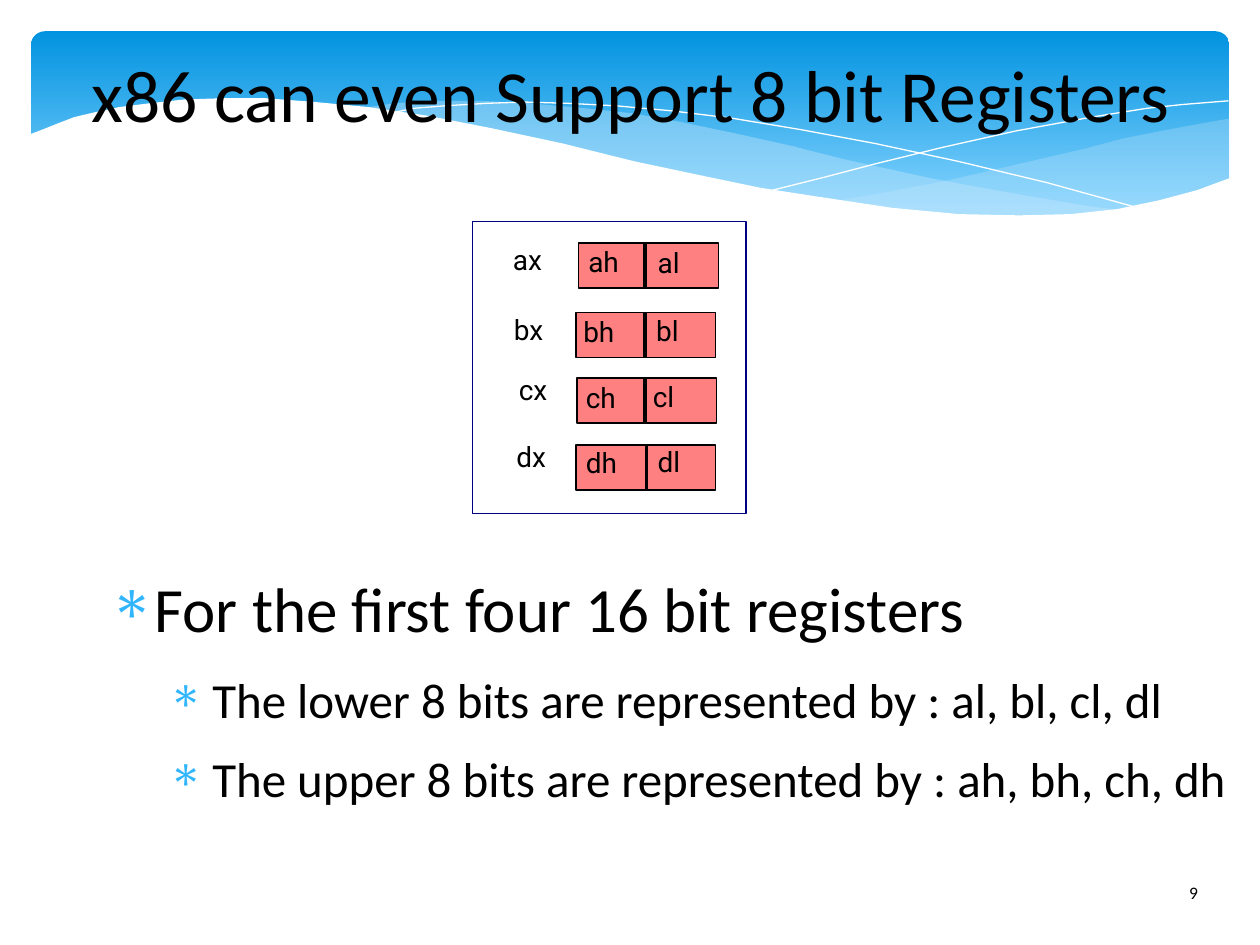
"""Build the slide on the 8 bit registers of x86."""
from lxml import etree
from pptx import Presentation
from pptx.dml.color import RGBColor
from pptx.enum.shapes import MSO_CONNECTOR, MSO_SHAPE
from pptx.enum.text import MSO_ANCHOR, PP_ALIGN
from pptx.oxml.ns import qn
from pptx.util import Cm, Pt

RECTANGLE, ROUNDED = MSO_SHAPE.RECTANGLE, MSO_SHAPE.ROUNDED_RECTANGLE
STRAIGHT = MSO_CONNECTOR.STRAIGHT
MIDDLE, TOP = MSO_ANCHOR.MIDDLE, MSO_ANCHOR.TOP
CENTER = PP_ALIGN.CENTER
BLACK = RGBColor(0x00, 0x00, 0x00)
WHITE = RGBColor(0xFF, 0xFF, 0xFF)
NAVY = RGBColor(0x00, 0x00, 0x80)
CORAL = RGBColor(0xFF, 0x80, 0x80)
DEEP_BLUE = RGBColor(0x02, 0x93, 0xE0)
LIGHT_BLUE = RGBColor(0x83, 0xD3, 0xFE)
PALE_BLUE = RGBColor(0xC6, 0xE7, 0xFC)
BULLET_BLUE = "31B6FD"
WAVE_UNIT = Cm(0.0254)

RIGHT_SWELL = [
    (976, 94), (948, 99), (921, 104), (891, 110), (861, 118), (805, 131),
    (753, 143), (706, 152), (661, 160), (691, 164), (719, 167), (745, 169),
    (781, 172), (814, 172), (844, 171), (872, 169), (897, 165), (921, 160),
    (942, 154), (963, 147), (976, 141)]
LONG_SWELL = [
    (893, 167), (866, 164), (807, 154), (741, 142), (668, 126), (629, 116),
    (584, 106), (541, 97), (502, 90), (465, 86), (420, 82), (380, 80),
    (344, 80), (313, 82), (286, 86), (323, 90), (362, 97), (404, 106),
    (449, 116), (530, 135), (584, 146), (634, 156), (680, 163), (722, 168),
    (761, 171), (796, 173), (828, 173), (857, 171), (876, 169)]
FALLING_CREST = [
    (309, 90), (328, 86), (353, 84), (387, 82), (416, 81), (450, 82),
    (489, 84), (533, 88), (582, 94), (636, 103), (695, 114), (760, 128),
    (831, 145), (907, 166)]
RISING_CREST = [
    (613, 151), (653, 141), (695, 130), (748, 117), (806, 104), (866, 93),
    (910, 86), (938, 83), (975, 80)]
WHITE_SWELL = [
    (977, 141), (950, 151), (920, 159), (887, 166), (850, 170), (809, 171),
    (761, 170), (708, 165), (648, 156), (603, 149), (555, 139), (503, 128),
    (447, 114), (391, 102), (340, 92), (292, 85), (250, 81), (211, 78),
    (177, 78), (146, 79), (119, 82), (95, 85), (76, 89), (59, 93),
    (46, 98), (36, 102), (23, 107), (23, 224), (977, 224)]


def add_wave(points, color=None, opacity=100):
    builder = slide.shapes.build_freeform(*points[0], scale=WAVE_UNIT)
    builder.add_line_segments(points[1:], close=color is not None)
    wave = builder.convert_to_shape()
    wave.shadow.inherit = False
    if color is None:
        wave.fill.background()
        wave.line.color.rgb = WHITE
        wave.line.width = Pt(0)
        return
    wave.line.fill.background()
    wave.fill.solid()
    wave.fill.fore_color.rgb = color
    if opacity < 100:
        tint = wave.fill._xPr.find(".//" + qn("a:srgbClr"))
        etree.SubElement(tint, qn("a:alpha"), val=str(opacity * 1000))


def add_text(text, left, top, width, height, size, font, inset=0):
    box = slide.shapes.add_textbox(Cm(left), Cm(top), Cm(width), Cm(height))
    frame = box.text_frame
    frame.word_wrap = True
    frame.vertical_anchor = TOP
    frame.margin_left = frame.margin_right = Cm(inset)
    frame.margin_top = frame.margin_bottom = Cm(inset / 2)
    frame.text = text
    for paragraph in frame.paragraphs:
        for run in paragraph.runs:
            run.font.size = Pt(size)
            run.font.name = font
            run.font.color.rgb = BLACK
    return frame


deck = Presentation()
deck.slide_width, deck.slide_height = Cm(25.4), Cm(19.05)
slide = deck.slides.add_slide(deck.slide_layouts[5])

banner = slide.shapes.add_shape(ROUNDED, Cm(0.63), Cm(0.63), Cm(24.15), Cm(3.96))
banner.adjustments[0] = 0.07
banner.shadow.inherit = False
banner.line.fill.background()
banner.fill.gradient()
banner.fill.gradient_angle = 270
for stop, color, position in zip(
        banner.fill.gradient_stops, (DEEP_BLUE, LIGHT_BLUE), (0, 0.9)):
    stop.color.rgb = color
    stop.position = position

add_wave(RIGHT_SWELL, PALE_BLUE, 29)
add_wave(LONG_SWELL, PALE_BLUE, 40)
add_wave(FALLING_CREST)
add_wave(RISING_CREST)
add_wave(WHITE_SWELL, WHITE)

add_text("9", 23.72, 17.65, 1.55, 1.02, 10, "Calibri", inset=0.25)

title = slide.shapes.title
slide.shapes._spTree.append(title._element)
title.left, title.top, title.width, title.height = Cm(0.43), Cm(0.58), Cm(24.56), Cm(2.59)
heading = title.text_frame
heading.text = "x86 can even Support 8 bit Registers"
heading.vertical_anchor = MIDDLE
heading.margin_left = heading.margin_right = heading.margin_top = heading.margin_bottom = 0
heading.paragraphs[0].alignment = CENTER
heading_font = heading.paragraphs[0].runs[0].font
heading_font.size = Pt(42)
heading_font.name = "Calibri"
heading_font.color.rgb = BLACK

notes = add_text(
    "For the first four 16 bit registers\n"
    "The lower 8 bits are represented by : al, bl, cl, dl\n"
    "The upper 8 bits are represented by : ah, bh, ch, dh",
    1.9, 11.48, 23.29, 5.26, 28, "Calibri")
for paragraph, level in zip(notes.paragraphs, (0, 1, 1)):
    paragraph.level = level
    properties = paragraph._p.get_or_add_pPr()
    properties.set("marL", str(Cm(1.19 * (level + 1))))
    properties.set("indent", str(Cm(-0.89)))
    bullet_color = etree.SubElement(properties, qn("a:buClr"))
    etree.SubElement(bullet_color, qn("a:srgbClr"), val=BULLET_BLUE)
    etree.SubElement(properties, qn("a:buFont"), typeface="Symbol")
    etree.SubElement(properties, qn("a:buChar"), char="∗")
    paragraph.space_after = Pt(11.3 if level else 14.1)
notes.paragraphs[0].runs[0].font.size = Pt(36)

registers = [
    ("a", 11.66, 4.9, 13, (10.34, 4.88), (11.86, 4.93), (13.26, 4.95)),
    ("b", 11.61, 6.3, 13, (10.36, 6.3), (11.76, 6.35), (13.23, 6.32)),
    ("c", 11.63, 7.62, 13, (10.46, 7.52), (11.81, 7.67), (13.16, 7.65)),
    ("d", 11.61, 8.97, 13.03, (10.41, 8.86), (11.81, 8.99), (13.26, 8.97)),
]
for letter, left, top, middle, *label_places in registers:
    register = slide.shapes.add_shape(RECTANGLE, Cm(left), Cm(top), Cm(2.82), Cm(0.91))
    register.shadow.inherit = False
    register.fill.solid()
    register.fill.fore_color.rgb = CORAL
    divider = slide.shapes.add_connector(
        STRAIGHT, Cm(middle), Cm(top), Cm(middle), Cm(top + 0.91))
    etree.SubElement(divider._element.spPr, qn("a:effectLst"))
    for outline in (register.line, divider.line):
        outline.color.rgb = BLACK
        outline.width = Pt(0)
    for suffix, (label_left, label_top) in zip("xhl", label_places):
        add_text(letter + suffix, label_left, label_top, 1.17, 1.07, 16, "Roboto")

frame_box = slide.shapes.add_shape(RECTANGLE, Cm(9.53), Cm(4.47), Cm(5.51), Cm(5.89))
frame_box.shadow.inherit = False
frame_box.fill.background()
frame_box.line.color.rgb = NAVY
frame_box.line.width = Pt(0)

deck.save("out.pptx")
